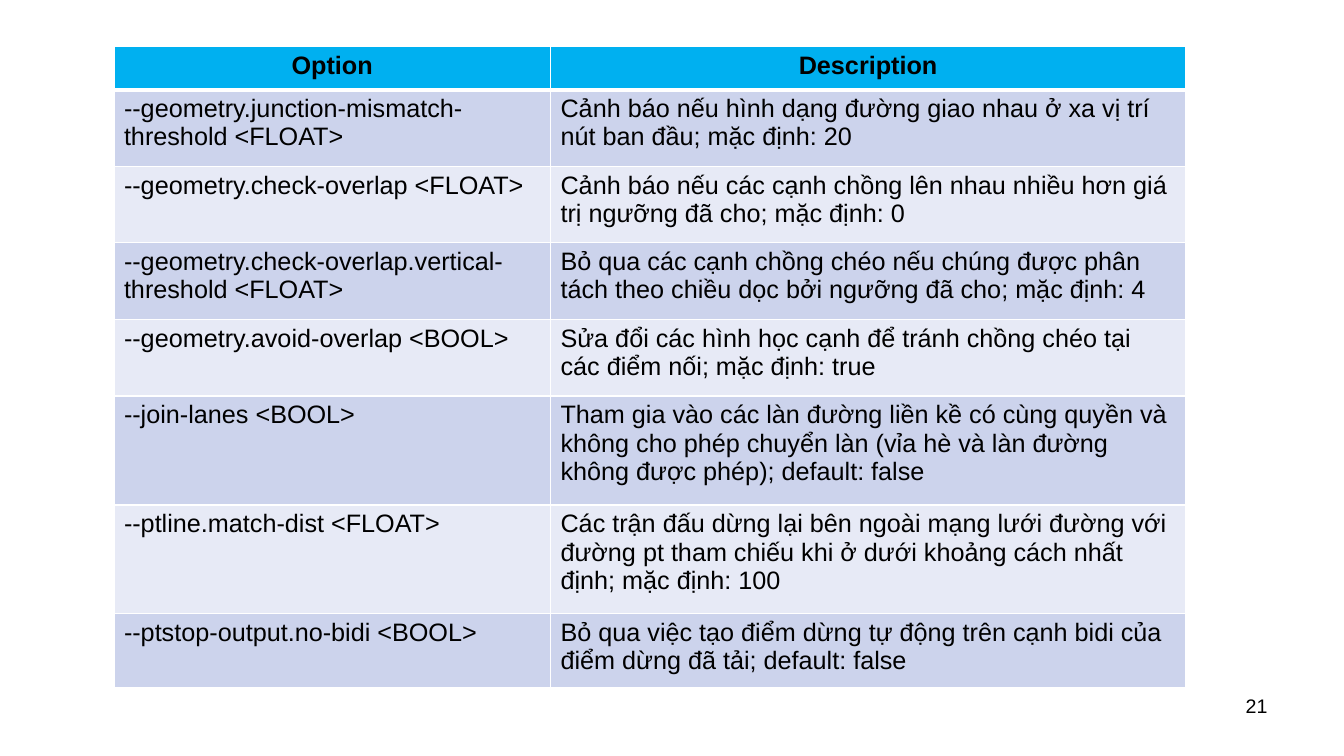
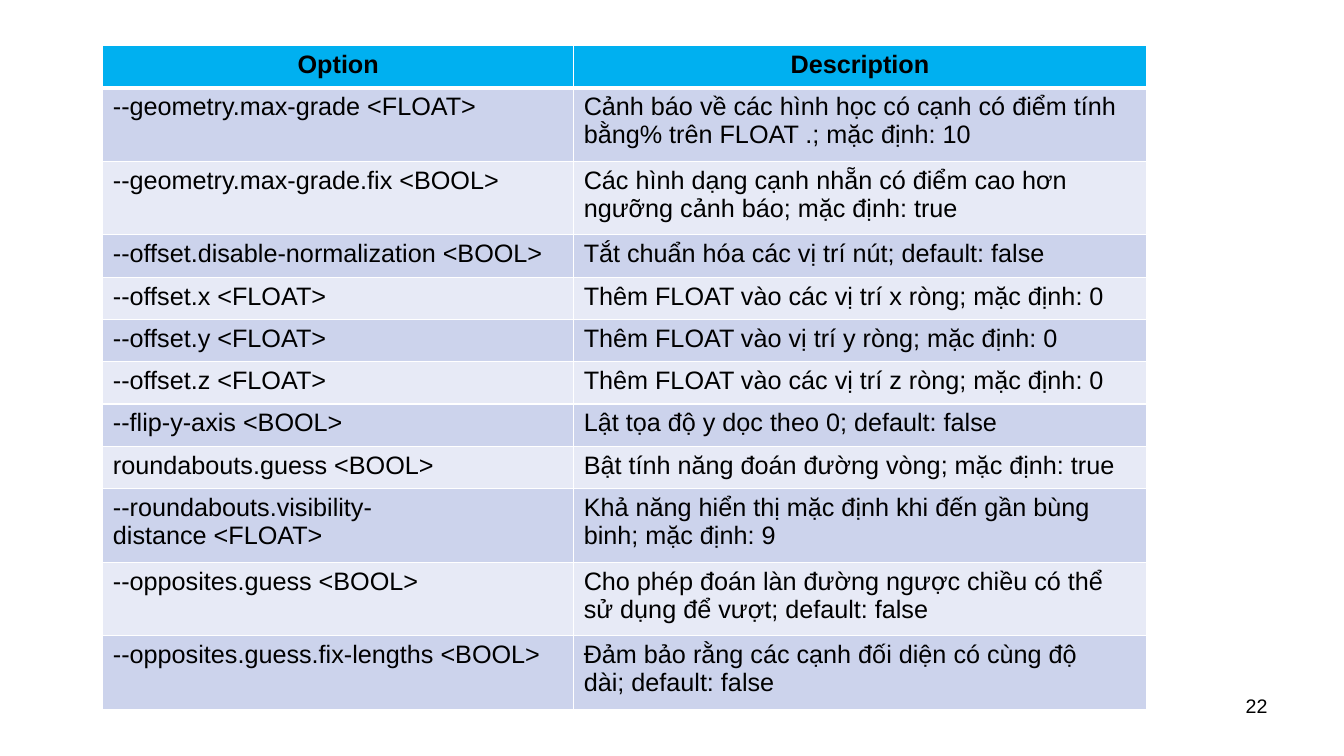
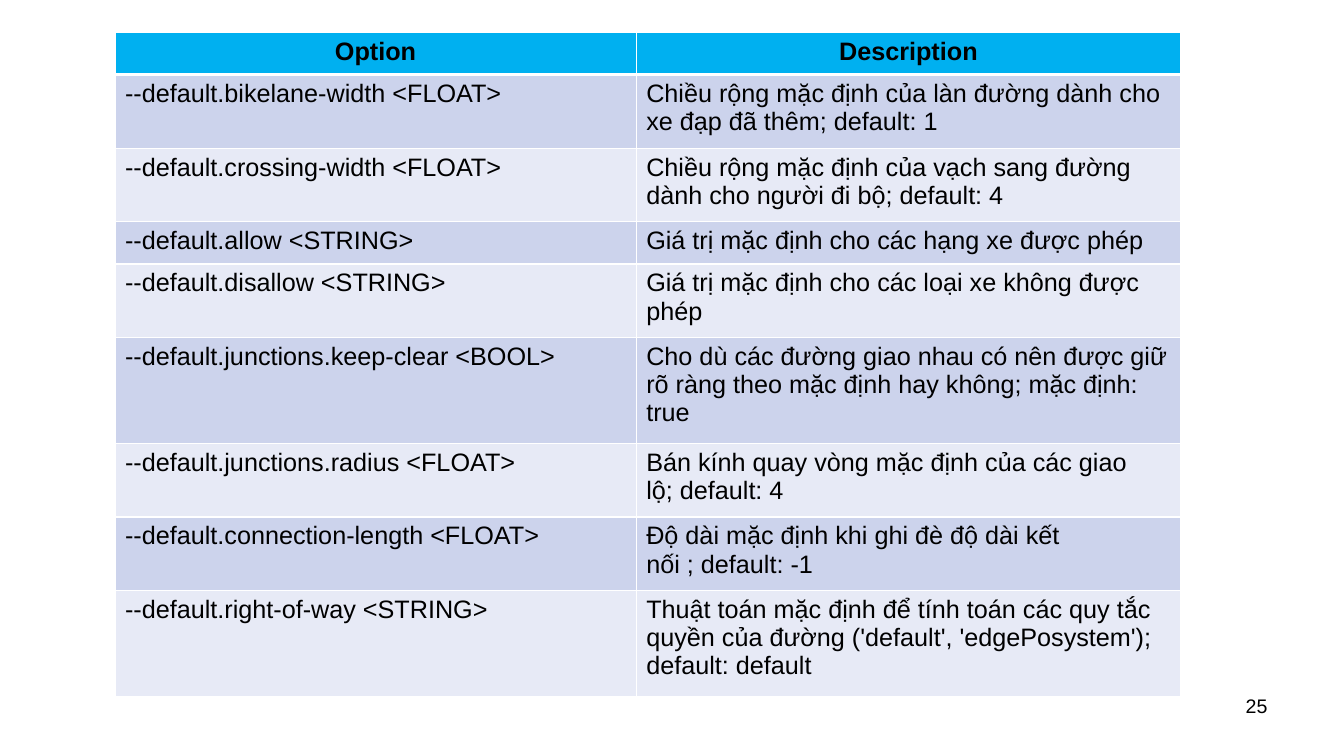
from lxml.etree import SubElement
from pptx import Presentation
from pptx.dml.color import RGBColor
from pptx.enum.text import PP_ALIGN as Align
from pptx.oxml.ns import qn
from pptx.util import Inches, Pt

COLORS = {
    "text": "000000",
    "header": "00B0F0",
    "odd": "CCD3EC",
    "even": "E7EAF6",
    "border": "FFFFFF",
}
FONT = "Arial"
HEADINGS = ("Option", "Description")
NBSP = chr(160)


def write_text(frame, text, size=18, bold=False, color="text", align=Align.LEFT):
    paragraph = frame.paragraphs[0]
    paragraph.alignment = align
    run = paragraph.add_run()
    run.text = text
    run.font.name = FONT
    run.font.size = Pt(size)
    run.font.bold = bold
    run.font.color.rgb = RGBColor.from_string(COLORS[color])


def describe(description, default=""):
    if not default:
        return description
    return f"{description};{NBSP}" + default.replace(": ", f":{NBSP}")


class OptionDeck:
    def __init__(self):
        self.presentation = Presentation()
        self.presentation.slide_width = Inches(13.33)
        self.presentation.slide_height = Inches(7.5)
        self.slide = None

    def add_slide(self, number):
        layout = self.presentation.slide_layouts[6]
        self.slide = self.presentation.slides.add_slide(layout)
        box = self.slide.shapes.add_textbox(
            Inches(9.56), Inches(6.83), Inches(3.11), Inches(0.52))
        box.text_frame.word_wrap = True
        write_text(box.text_frame, str(number), size=14, align=Align.RIGHT)

    def add_borders(self, cell, top=1, bottom=1):
        properties = cell._tc.get_or_add_tcPr()
        for side, width in (("L", 1), ("R", 1), ("T", top), ("B", bottom)):
            line = SubElement(properties, qn(f"a:ln{side}"), w=str(Pt(width)))
            fill = SubElement(line, qn("a:solidFill"))
            SubElement(fill, qn("a:srgbClr"), val=COLORS["border"])

    def fill_cell(self, cell, text, fill, top=1, bottom=1, **text_format):
        self.add_borders(cell, top, bottom)
        cell.fill.solid()
        cell.fill.fore_color.rgb = RGBColor.from_string(COLORS[fill])
        write_text(cell.text_frame, text, **text_format)

    def add_option_table(self, left, top, widths, heights, options):
        table = self.slide.shapes.add_table(
            len(heights), len(widths), Inches(left), Inches(top),
            Inches(sum(widths)), Inches(sum(heights))).table
        for column, width in zip(table.columns, widths):
            column.width = Inches(width)
        for row, height in zip(table.rows, heights):
            row.height = Inches(height)
        for column, heading in enumerate(HEADINGS):
            self.fill_cell(table.cell(0, column), heading, "header",
                           bottom=3, bold=True, align=Align.CENTER)
        for row, (option, *description) in enumerate(options, 1):
            texts = (option.replace(" ", NBSP), describe(*description))
            for column, text in enumerate(texts):
                self.fill_cell(table.cell(row, column), text,
                               "odd" if row % 2 else "even",
                               top=3 if row == 1 else 1)


GEOMETRY_OPTIONS = [
    ("--geometry.junction-mismatch-threshold <FLOAT>",
     "Cảnh báo nếu hình dạng đường giao nhau ở xa vị trí nút ban đầu", "mặc định: 20"),
    ("--geometry.check-overlap <FLOAT>",
     "Cảnh báo nếu các cạnh chồng lên nhau nhiều hơn giá trị ngưỡng đã cho", "mặc định: 0"),
    ("--geometry.check-overlap.vertical-threshold <FLOAT>",
     "Bỏ qua các cạnh chồng chéo nếu chúng được phân tách theo chiều dọc bởi ngưỡng đã cho",
     "mặc định: 4"),
    ("--geometry.avoid-overlap <BOOL>",
     "Sửa đổi các hình học cạnh để tránh chồng chéo tại các điểm nối", "mặc định: true"),
    ("--join-lanes <BOOL>",
     "Tham gia vào các làn đường liền kề có cùng quyền và không cho phép chuyển làn "
     "(vỉa hè và làn đường không được phép)", "default: false"),
    ("--ptline.match-dist <FLOAT>",
     "Các trận đấu dừng lại bên ngoài mạng lưới đường với đường pt tham chiếu "
     "khi ở dưới khoảng cách nhất định", "mặc định: 100"),
    ("--ptstop-output.no-bidi <BOOL>",
     "Bỏ qua việc tạo điểm dừng tự động trên cạnh bidi của điểm dừng đã tải",
     "default: false"),
]

OFFSET_OPTIONS = [
    ("--geometry.max-grade <FLOAT>",
     "Cảnh báo về các hình học có cạnh có điểm tính bằng% trên FLOAT .", "mặc định: 10"),
    ("--geometry.max-grade.fix <BOOL>",
     "Các hình dạng cạnh nhẵn có điểm cao hơn ngưỡng cảnh báo", "mặc định: true"),
    ("--offset.disable-normalization <BOOL>",
     "Tắt chuẩn hóa các vị trí nút", "default: false"),
    ("--offset.x <FLOAT>", "Thêm FLOAT vào các vị trí x ròng", "mặc định: 0"),
    ("--offset.y <FLOAT>", "Thêm FLOAT vào vị trí y ròng", "mặc định: 0"),
    ("--offset.z <FLOAT>", "Thêm FLOAT vào các vị trí z ròng", "mặc định: 0"),
    ("--flip-y-axis <BOOL>", "Lật tọa độ y dọc theo 0", "default: false"),
    ("roundabouts.guess <BOOL>", "Bật tính năng đoán đường vòng", "mặc định: true"),
    ("--roundabouts.visibility-distance <FLOAT>",
     "Khả năng hiển thị mặc định khi đến gần bùng binh", "mặc định: 9"),
    ("--opposites.guess <BOOL>",
     "Cho phép đoán làn đường ngược chiều có thể sử dụng để vượt", "default: false"),
    ("--opposites.guess.fix-lengths <BOOL>",
     "Đảm bảo rằng các cạnh đối diện có cùng độ dài", "default: false"),
]

DEFAULT_OPTIONS = [
    ("--default.bikelane-width <FLOAT>",
     "Chiều rộng mặc định của làn đường dành cho xe đạp đã thêm", "default: 1"),
    ("--default.crossing-width <FLOAT>",
     "Chiều rộng mặc định của vạch sang đường dành cho người đi bộ", "default: 4"),
    ("--default.allow <STRING>", "Giá trị mặc định cho các hạng xe được phép"),
    ("--default.disallow <STRING>", "Giá trị mặc định cho các loại xe không được phép"),
    ("--default.junctions.keep-clear <BOOL>",
     "Cho dù các đường giao nhau có nên được giữ rõ ràng theo mặc định hay không; "
     "mặc định: true"),
    ("--default.junctions.radius <FLOAT>",
     "Bán kính quay vòng mặc định của các giao lộ", "default: 4"),
    ("--default.connection-length <FLOAT>",
     "Độ dài mặc định khi ghi đè độ dài kết nối ", "default: -1"),
    ("--default.right-of-way <STRING>",
     "Thuật toán mặc định để tính toán các quy tắc quyền của đường "
     "('default', 'edgePosystem'); default: default"),
]


def main():
    deck = OptionDeck()
    deck.add_slide(21)
    deck.add_option_table(1.13, 0.46, (4.33, 6.3),
                          [0.43] + [0.76] * 4 + [1.08] * 2 + [0.73], GEOMETRY_OPTIONS)
    deck.add_slide(22)
    deck.add_option_table(1.02, 0.45, (4.67, 5.68),
                          [0.42] + [0.73] * 2 + [0.42] * 6 + [0.73] * 3, OFFSET_OPTIONS)
    deck.add_slide(25)
    deck.add_option_table(1.14, 0.32, (5.17, 5.4),
                          [0.42, 0.73, 0.73, 0.42, 0.73, 1.05, 0.73, 0.73, 1.05],
                          DEFAULT_OPTIONS)
    deck.presentation.save("out.pptx")


if __name__ == "__main__":
    main()
